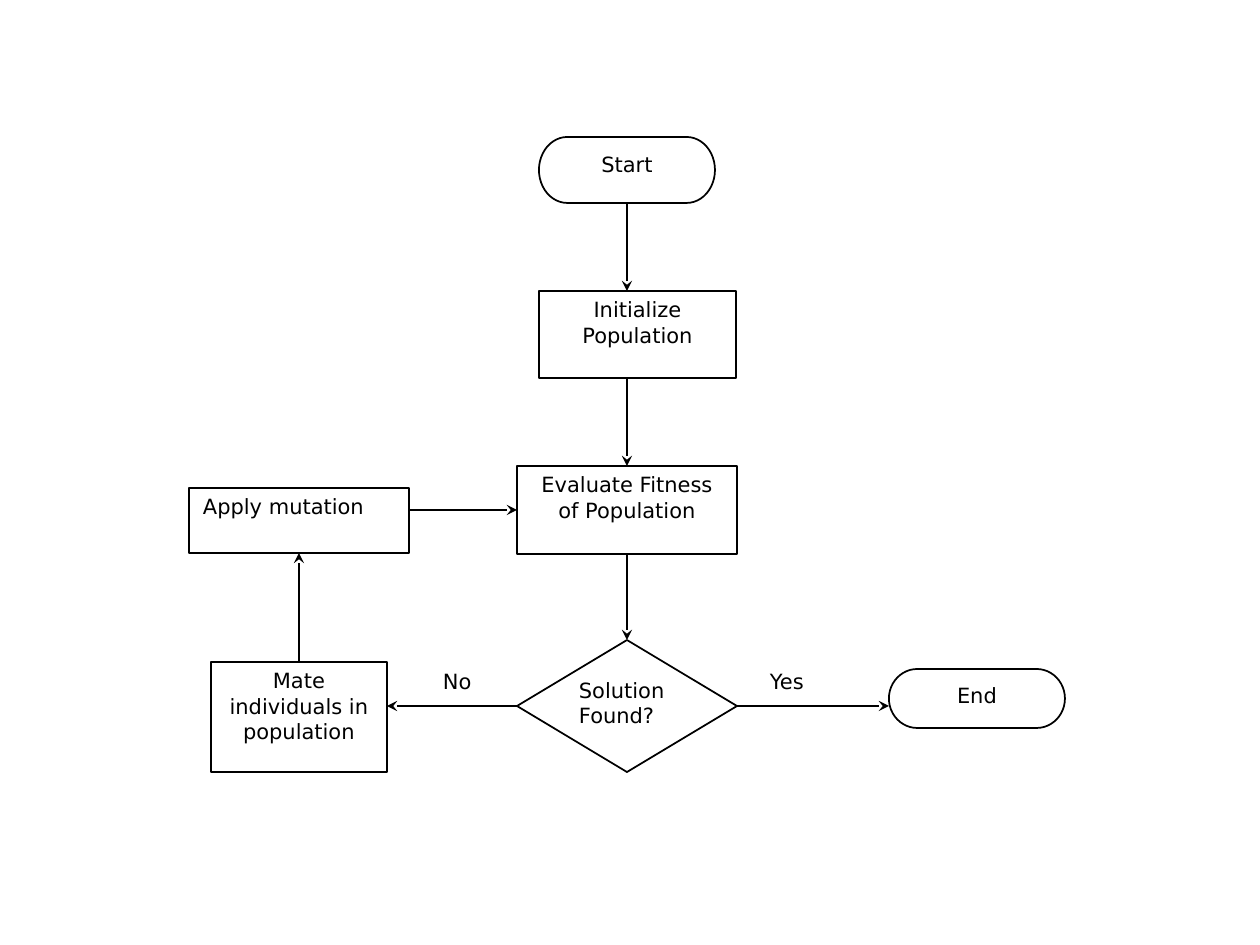
from lxml import etree
from pptx import Presentation
from pptx.dml import color
from pptx.enum import shapes, text
from pptx.oxml import ns
from pptx.util import Pt

SCALE = 914400 / 126
KIND = shapes.MSO_SHAPE
MID, LEFT = text.PP_ALIGN.CENTER, text.PP_ALIGN.LEFT
TOP, WEST, BASE, EAST = range(4)


def px(n):
    """Turn pixels into EMU."""
    return round(n * SCALE)


def rgb(code):
    """Turn a hex string into a colour."""
    return color.RGBColor.from_string(code)


class Chart:
    """Holds the style and the current slide of the flow chart."""

    font, size, ink, paper, edge = "DejaVu Sans", 12, "000000", "FFFFFF", 1

    def __init__(self, slide):
        """Keep the slide to draw on."""
        self.slide = slide

    def letter(self, shape, words, align, pad):
        """Fill a shape with paper colour and set its text."""
        shape.fill.solid()
        shape.fill.fore_color.rgb = rgb(self.paper)
        frame = shape.text_frame
        frame.text = words
        frame.word_wrap = True
        frame.vertical_anchor = text.MSO_ANCHOR.TOP
        frame.margin_left = frame.margin_right = px(pad[0])
        frame.margin_top = frame.margin_bottom = px(pad[1])
        para = frame.paragraphs[0]
        para.alignment = align
        font = para.runs[0].font
        font.name, font.size = self.font, Pt(self.size)
        font.color.rgb = rgb(self.ink)

    def node(self, kind, words, box, align=MID, pad=(14, 6)):
        """Draw an outlined step."""
        shape = self.slide.shapes.add_shape(kind, *map(px, box))
        shape.shadow.inherit = False
        shape.line.color.rgb = rgb(self.ink)
        shape.line.width = Pt(self.edge)
        self.letter(shape, words, align, pad)
        return shape

    def label(self, words, box):
        """Draw a branch label."""
        shape = self.slide.shapes.add_textbox(*map(px, box))
        self.letter(shape, words, LEFT, (13, 6))

    def arrow(self, start, end, head=None, tail=None):
        """Draw an arrow, joined to the (shape, side) pairs given."""
        link = self.slide.shapes.add_connector(
            shapes.MSO_CONNECTOR.STRAIGHT, *map(px, start + end))
        if head:
            link.begin_connect(*head)
        if tail:
            link.end_connect(*tail)
        link.line.color.rgb = rgb(self.ink)
        link.line.width = Pt(self.edge)
        props = link._element.spPr
        tip = etree.SubElement(props.find(ns.qn("a:ln")), ns.qn("a:tailEnd"))
        tip.set("type", "stealth")
        etree.SubElement(props, ns.qn("a:effectLst"))


def main():
    """Build and save the flow chart."""
    deck = Presentation()
    deck.slide_width, deck.slide_height = px(1260), px(945)
    flow = Chart(deck.slides.add_slide(deck.slide_layouts[6]))
    main_x, loop_x, row_y = 627, 299, 706

    flow.label("No", (430, 663, 87, 44))
    flow.label("Yes", (757, 663, 87, 44))

    start = flow.node(KIND.FLOWCHART_TERMINATOR, "Start", (539, 137, 176, 66), pad=(12, 5))
    flow.node(KIND.RECTANGLE, "Initialize Population", (539, 291, 197, 87))
    rate = flow.node(KIND.RECTANGLE, "Evaluate Fitness of Population", (517, 466, 220, 88))
    test = flow.node(KIND.FLOWCHART_DECISION, "Solution Found?", (517, 640, 220, 132), LEFT, (7, 4))
    flow.node(KIND.FLOWCHART_TERMINATOR, "End", (889, 669, 176, 59), pad=(12, 5))
    mate = flow.node(KIND.RECTANGLE, "Mate individuals in population", (211, 662, 176, 110))
    mutate = flow.node(KIND.RECTANGLE, "Apply mutation", (189, 488, 220, 65), LEFT)

    flow.arrow((main_x, 203), (main_x, 291), head=(start, BASE))
    flow.arrow((main_x, 378), (main_x, 466), tail=(rate, TOP))
    flow.arrow((main_x, 554), (main_x, 640), (rate, BASE), (test, TOP))
    flow.arrow((517, row_y), (387, row_y), head=(test, WEST))
    flow.arrow((737, row_y), (889, row_y), head=(test, EAST))
    flow.arrow((loop_x, 662), (loop_x, 553), (mate, TOP), (mutate, BASE))
    flow.arrow((409, 510), (517, 510), tail=(rate, WEST))
    deck.save("out.pptx")


if __name__ == "__main__":
    main()
